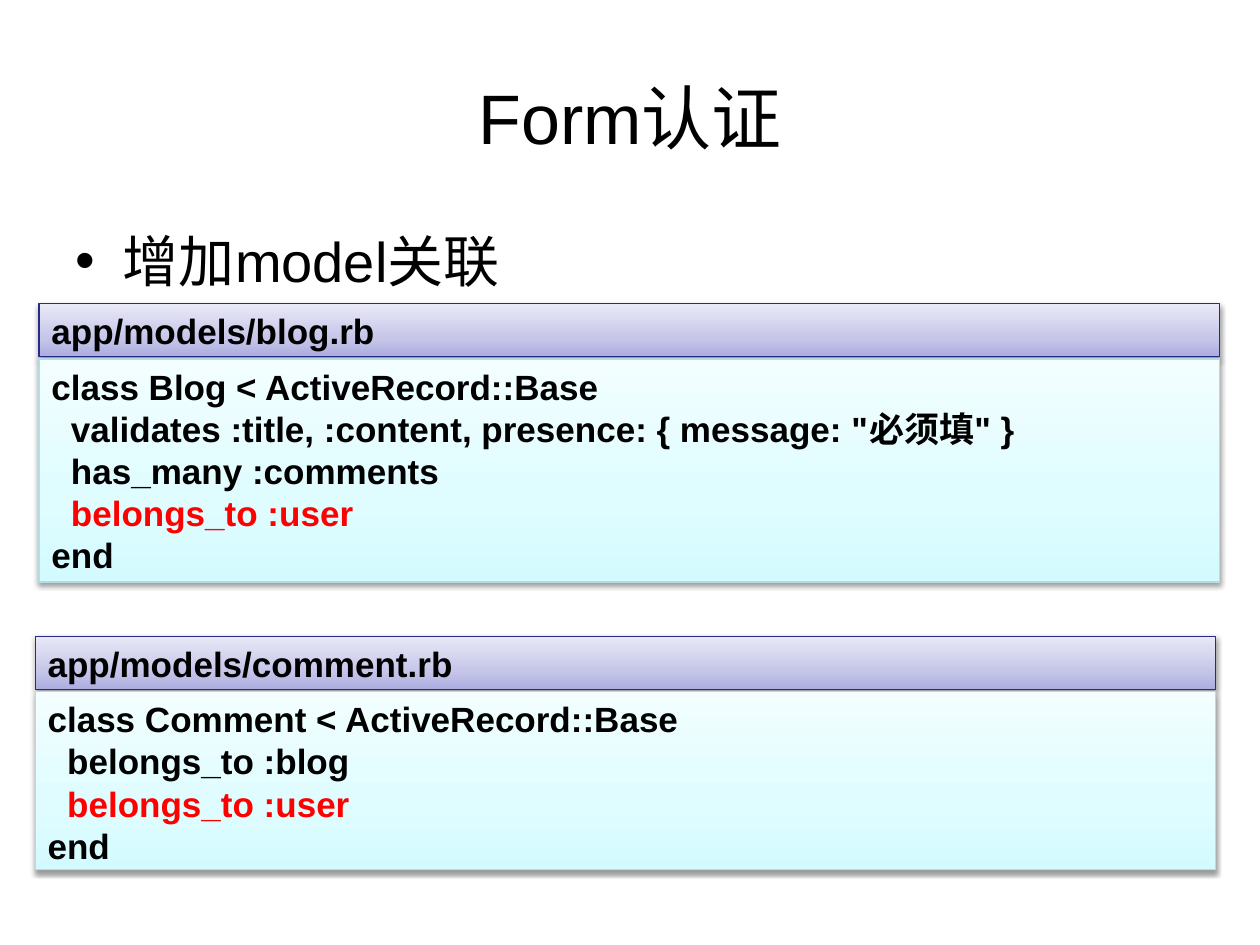
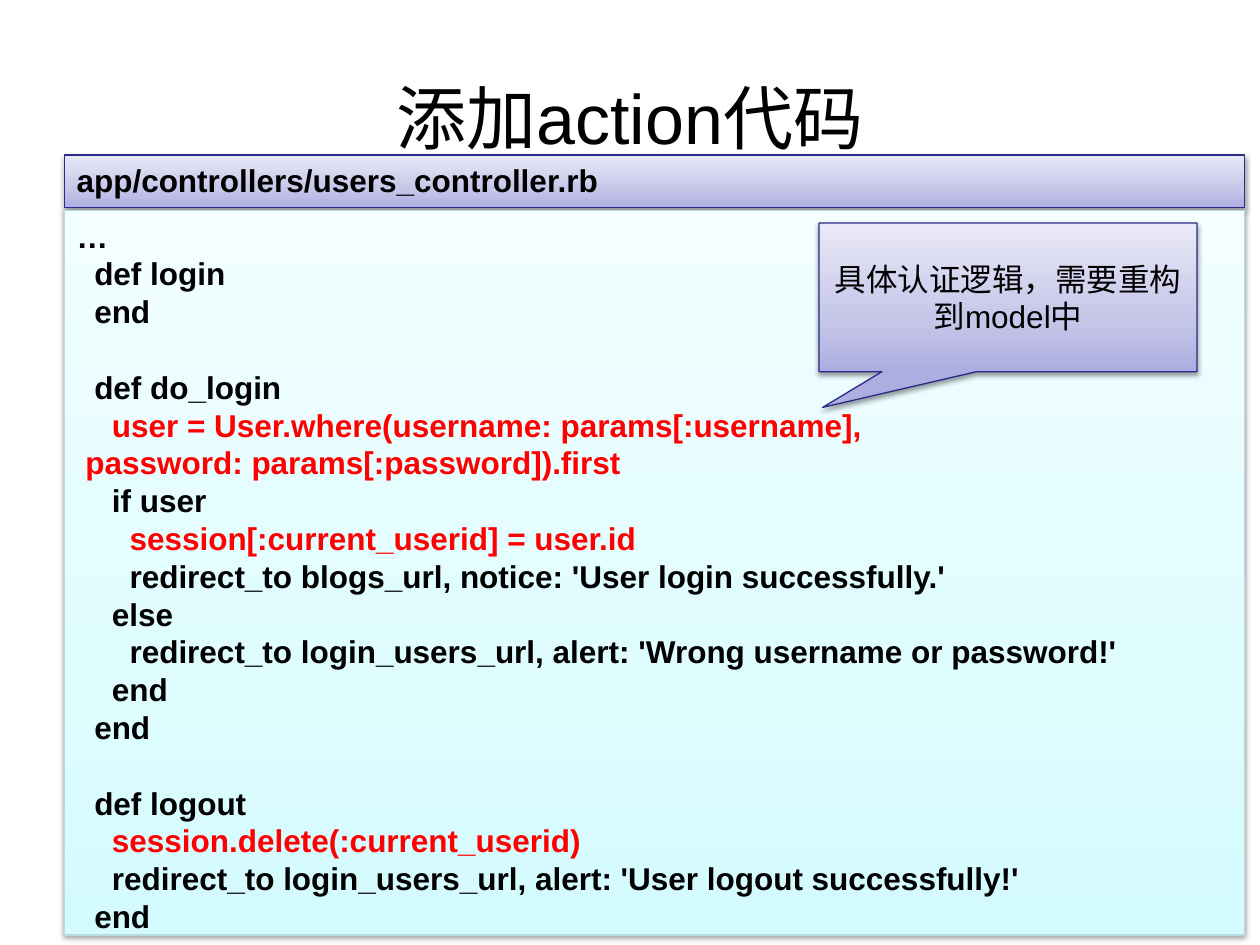
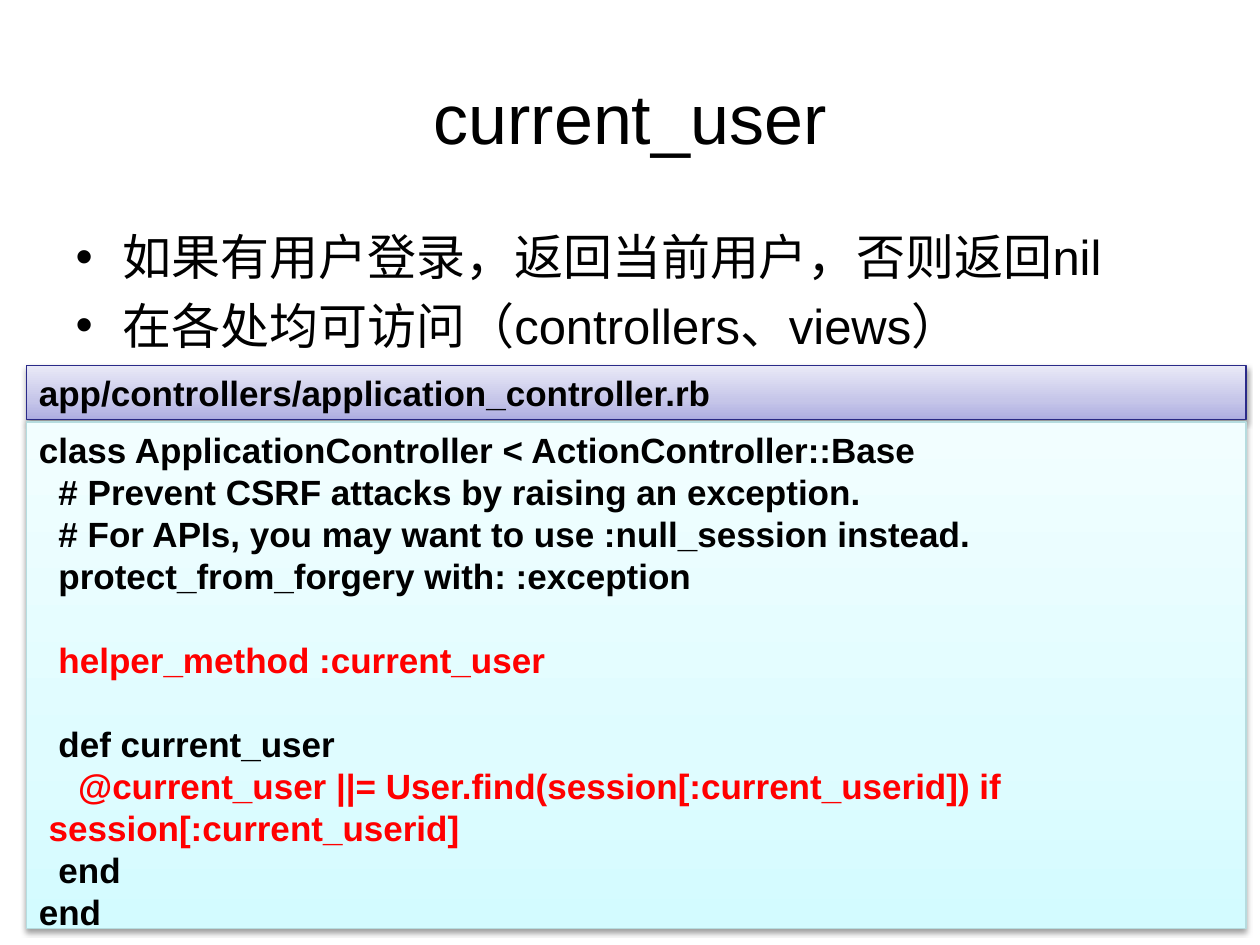
from copy import deepcopy

from lxml.etree import SubElement
from pptx import Presentation
from pptx.dml.color import RGBColor
from pptx.enum.shapes import MSO_SHAPE as Preset
from pptx.enum.text import MSO_ANCHOR as Anchor, MSO_AUTO_SIZE as AutoSize, PP_ALIGN as Align
from pptx.oxml.ns import qn
from pptx.util import Inches, Pt

FONT = "Arial"
BLACK = RGBColor(0x00, 0x00, 0x00)
RED = RGBColor(0xFF, 0x00, 0x00)
NAVY = RGBColor(0x2A, 0x2A, 0x89)
TEAL = RGBColor(0xB6, 0xDC, 0xDF)
LAVENDERS = (RGBColor(0xAD, 0xAD, 0xE1), RGBColor(0xC6, 0xC6, 0xE9), RGBColor(0xE9, 0xE9, 0xF7))
AQUAS = (RGBColor(0xD3, 0xFB, 0xFF), RGBColor(0xDF, 0xFC, 0xFF), RGBColor(0xF2, 0xFE, 0xFF))
STOPS = (0, 0.35, 1)

COLUMNS, ROWS = 100, 75
HEADER_ROWS, GAP_ROWS = 4.2, 0.2
LINE_HEIGHT = 1.2   # share of the font size
SPACE_WIDTH = 0.28  # share of the font size
TITLE_LAYOUT, LIST_LAYOUT = 5, 1

# In the code below, a leading "+" takes the place of a space and marks a red line.
BLOG_MODEL = """\
class Blog < ActiveRecord::Base
  validates :title, :content, presence: { message: "必须填" }
  has_many :comments
+ belongs_to :user
end"""

COMMENT_MODEL = """\
class Comment < ActiveRecord::Base
  belongs_to :blog
+ belongs_to :user
end"""

USERS_CONTROLLER = """\
…
  def login
  end

  def do_login
+   user = User.where(username: params[:username],\vpassword: params[:password]).first
    if user
+     session[:current_userid] = user.id
      redirect_to blogs_url, notice: 'User login successfully.'
    else
      redirect_to login_users_url, alert: 'Wrong username or password!'
    end
  end

  def logout
+   session.delete(:current_userid)
    redirect_to login_users_url, alert: 'User logout successfully!'
  end"""

APPLICATION_CONTROLLER = """\
class ApplicationController < ActionController::Base
  # Prevent CSRF attacks by raising an exception.
  # For APIs, you may want to use :null_session instead.
  protect_from_forgery with: :exception

+ helper_method :current_user

  def current_user
+   @current_user ||= User.find(session[:current_userid]) if\vsession[:current_userid]
  end
end"""


def write(paragraph, text, size, color=BLACK, bold=False, align=Align.LEFT,
          line_height=None, space_before=None):
    paragraph.text = text
    paragraph.alignment = align
    if line_height:
        paragraph.line_spacing = Pt(size * line_height)
    if space_before:
        paragraph.space_before = Pt(space_before)
    for run in paragraph.runs:
        font = run.font
        font.name, font.size, font.bold = FONT, Pt(size), bold
        font.color.rgb = color


def paragraphs_for(frame, texts):
    """Yield each text with a paragraph of the frame to hold it."""
    for index, text in enumerate(texts):
        yield (frame.add_paragraph() if index else frame.paragraphs[0]), text


def write_code(frame, code, size):
    """Turn leading spaces into indents and empty lines into paragraph spacing."""
    blocks = [block.split("\n") for block in code.split("\n\n")]
    block_starts = {block[0] for block in blocks[1:]}
    space = size * SPACE_WIDTH
    for paragraph, line in paragraphs_for(frame, sum(blocks, [])):
        text = line.lstrip("+ ")
        depth = len(line) - len(text)
        hanging = 1 if "\v" in text else depth
        write(paragraph, text, size, bold=True, line_height=LINE_HEIGHT,
              color=RED if line.startswith("+") else BLACK,
              space_before=size * LINE_HEIGHT if line in block_starts else None)
        properties = paragraph._p.get_or_add_pPr()
        properties.set("marL", str(Pt(hanging * space)))
        properties.set("indent", str(Pt((depth - hanging) * space)))


def add_shadow(shape):
    shape.shadow.inherit = False
    effects = shape._element.spPr.find(qn("a:effectLst"))
    shadow = SubElement(effects, qn("a:outerShdw"), blurRad=str(Pt(3.1)), dist=str(Pt(1.6)),
                        dir="5400000", rotWithShape="0")
    color = SubElement(shadow, qn("a:srgbClr"), val=str(BLACK))
    SubElement(color, qn("a:alpha"), val="38000")


def fill_gradient(shape, colors):
    fill = shape.fill
    fill.gradient()
    fill.gradient_angle = 90
    stop_list = shape._element.spPr.find(qn("a:gradFill")).find(qn("a:gsLst"))
    stop_list.insert(1, deepcopy(stop_list[0]))
    for stop, position, color in zip(fill.gradient_stops, STOPS, colors):
        stop.position = position
        stop.color.rgb = color


class Deck:
    def __init__(self):
        self.presentation = Presentation()
        self.presentation.slide_width = Inches(10)
        self.presentation.slide_height = Inches(7.5)
        self.slide = None

    def box(self, left, top, width, height):
        """Convert grid columns and rows to lengths."""
        column = self.presentation.slide_width / COLUMNS
        row = self.presentation.slide_height / ROWS
        return [round(length) for length in
                (left * column, top * row, width * column, height * row)]

    def place(self, shape, *cells):
        shape.left, shape.top, shape.width, shape.height = self.box(*cells)

    def add_slide(self, title, bullets=(), bullet_size=32):
        layout = self.presentation.slide_layouts[LIST_LAYOUT if bullets else TITLE_LAYOUT]
        self.slide = self.presentation.slides.add_slide(layout)
        heading = self.slide.shapes.title
        self.place(heading, 5, 3, 90, 12.5)
        heading.text_frame.vertical_anchor = Anchor.MIDDLE
        write(heading.text_frame.paragraphs[0], title, 40, align=Align.CENTER)
        if bullets:
            body = self.slide.placeholders[1]
            self.place(body, 5, 17.5, 90, 49.5)
            body.text_frame.auto_size = AutoSize.NONE
            for paragraph, text in paragraphs_for(body.text_frame, bullets):
                write(paragraph, text, bullet_size)

    def add_card(self, shapes, preset, cells, colors, outline, anchor=Anchor.TOP):
        card = shapes.add_shape(preset, *self.box(*cells))
        fill_gradient(card, colors)
        card.line.color.rgb = outline
        card.line.width = Pt(0.75)
        add_shadow(card)
        card.text_frame.word_wrap = True
        card.text_frame.vertical_anchor = anchor
        return card

    def add_code_panel(self, file_name, code, left, top, width, code_rows,
                       size=20, header_rows=HEADER_ROWS):
        shapes = self.slide.shapes.add_group_shape().shapes
        code_top = top + header_rows + GAP_ROWS
        header = self.add_card(shapes, Preset.RECTANGLE, (left, top, width, header_rows),
                               LAVENDERS, NAVY)
        write(header.text_frame.paragraphs[0], file_name, size, bold=True,
              line_height=LINE_HEIGHT)
        listing = self.add_card(shapes, Preset.RECTANGLE, (left, code_top, width, code_rows),
                                AQUAS, TEAL)
        write_code(listing.text_frame, code, size)

    def add_callout(self, text, cells, tip):
        callout = self.add_card(self.slide.shapes, Preset.RECTANGULAR_CALLOUT, cells,
                                LAVENDERS, NAVY, Anchor.MIDDLE)
        callout.adjustments[0], callout.adjustments[1] = tip
        write(callout.text_frame.paragraphs[0], text, 18, align=Align.CENTER,
              line_height=LINE_HEIGHT)


def main():
    deck = Deck()

    deck.add_slide("Form认证", ["增加model关联"])
    deck.add_code_panel("app/models/blog.rb", BLOG_MODEL, 3.1, 24.1, 93.7, 17.7)
    deck.add_code_panel("app/models/comment.rb", COMMENT_MODEL, 2.8, 50.5, 93.7, 14.1)

    deck.add_slide("添加action代码")
    deck.add_code_panel("app/controllers/users_controller.rb", USERS_CONTROLLER,
                        5.1, 12.3, 93.7, 57.5, size=18)
    deck.add_callout("具体认证逻辑，需要重构到model中", (65, 17.7, 30, 11.8), (-0.49, 0.74))

    deck.add_slide("current_user",
                   ["如果有用户登录，返回当前用户，否则返回nil", "在各处均可访问（controllers、views）"],
                   bullet_size=28)
    deck.add_code_panel("app/controllers/application_controller.rb", APPLICATION_CONTROLLER,
                        2.1, 29, 96.8, 40.2, header_rows=4.3)

    deck.presentation.save("out.pptx")


if __name__ == "__main__":
    main()
